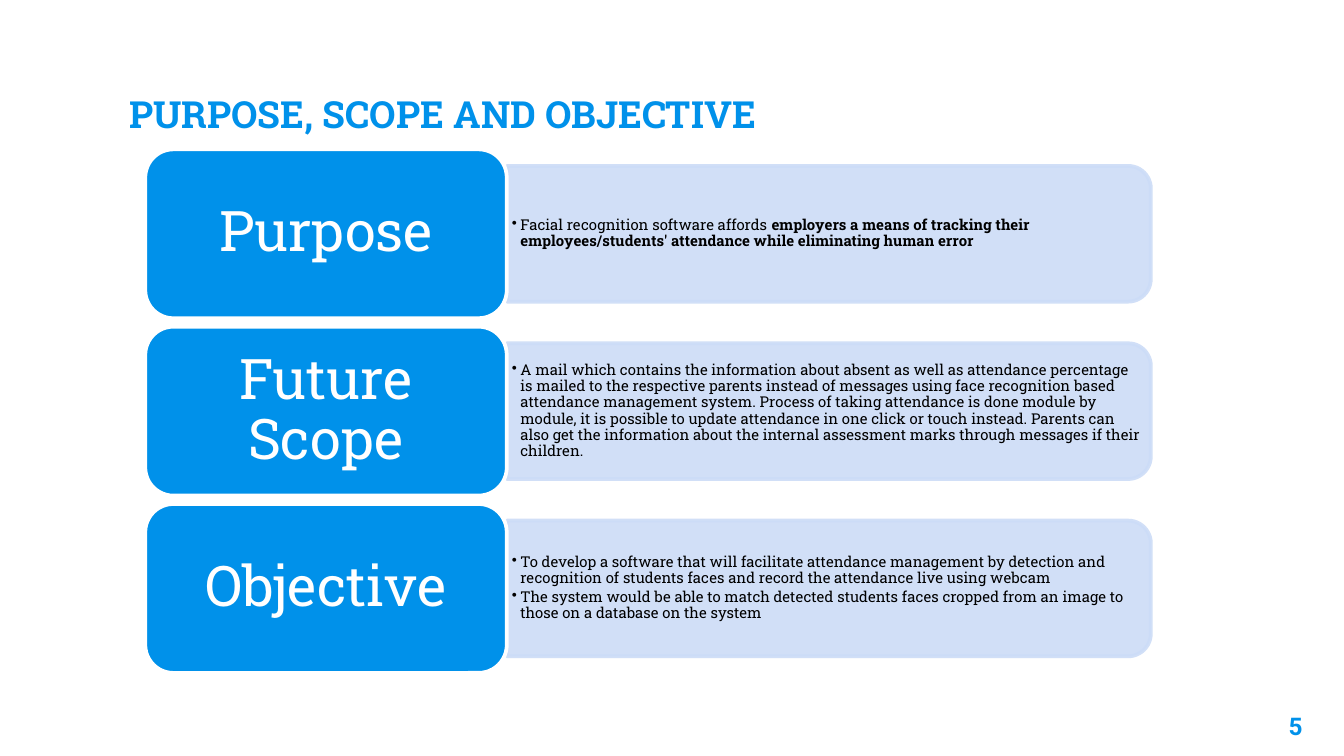
"""Build a slide with three labelled rows on purpose, scope and objective."""
from dataclasses import dataclass

from lxml import etree
from pptx import Presentation
from pptx.dml import color as c
from pptx.enum import shapes, text
from pptx.oxml import ns
from pptx.util import Pt


@dataclass(frozen=True)
class Theme:
    """Hold the colours, fonts and type sizes."""
    blue: str = "0091EA"
    pale: str = "CCDCF7"
    white: str = "FFFFFF"
    black: str = "000000"
    slab: str = "Roboto Slab"
    sans: str = "Roboto"
    head: float = 20
    label: float = 30
    body: float = 8
    page: float = 13


T = Theme()
LEFT, TOP, PITCH = 77.8, 80, 95
LABEL_W, LABEL_H = 193.7, 90.5
BAND_W, BAND_H = 345, 72.7
ROWS = [
    ("Purpose", [[
        ("Facial recognition software affords ", False),
        ("employers a means of tracking their employees/students' attendance "
         "while eliminating human error", True)]]),
    ("Future Scope", [[
        ("A mail which contains the information about absent as well as "
         "attendance percentage is mailed to the respective parents instead of "
         "messages using face recognition based attendance management system. "
         "Process of taking attendance is done module by module, it is possible "
         "to update attendance in one click or touch instead. Parents can also "
         "get the information about the internal assessment marks through "
         "messages if their children.", False)]]),
    ("Objective", [
        [("To develop a software that will facilitate attendance management by "
          "detection and recognition of students faces and record the attendance "
          "live using webcam", False)],
        [("The system would be able to match detected students faces cropped "
          "from an image to those on a database on the system", False)]]),
]


def rgb(tone):
    """Turn a hex string into a colour."""
    return c.RGBColor.from_string(tone)


def add_run(para, words, size, tone, bold=False, font=T.slab):
    """Add one formatted run to a paragraph."""
    run = para.add_run()
    run.text = words
    run.font.size, run.font.name, run.font.bold = Pt(size), font, bold
    run.font.color.rgb = rgb(tone)


def set_frame(frame, side, edge, anchor):
    """Set the wrap, insets and anchor of a text frame."""
    frame.word_wrap = True
    frame.auto_size = text.MSO_AUTO_SIZE.NONE
    frame.margin_left = frame.margin_right = Pt(side)
    frame.margin_top = frame.margin_bottom = Pt(edge)
    frame.vertical_anchor = anchor


def add_box(slide, kind, area, fill, line):
    """Add a filled and outlined preset shape."""
    shape = slide.shapes.add_shape(kind, *map(Pt, area))
    shape.shadow.inherit = False
    shape.fill.solid()
    shape.fill.fore_color.rgb = rgb(fill)
    shape.line.color.rgb = rgb(line)
    shape.line.width = Pt(2)
    return shape


def add_band(slide, left, mid):
    """Add a pale band whose right corners are round."""
    area = (left + (BAND_W - BAND_H) / 2, mid - BAND_W / 2, BAND_H, BAND_W)
    kind = shapes.MSO_SHAPE.ROUND_2_SAME_RECTANGLE
    band = add_box(slide, kind, area, T.pale, T.pale)
    band.rotation = 90
    for tone in band._element.spPr.iter(ns.qn("a:srgbClr")):
        etree.SubElement(tone, ns.qn("a:alpha"), val="90000")


def set_bullet(para):
    """Give a paragraph a black bullet and a hanging indent."""
    props = para._p.get_or_add_pPr()
    props.set("marL", str(Pt(4.5)))
    props.set("indent", str(Pt(-4.5)))
    tone = etree.SubElement(props, ns.qn("a:buClr"))
    etree.SubElement(tone, ns.qn("a:srgbClr"), val=T.black)
    etree.SubElement(props, ns.qn("a:buChar"), char="•")


def add_points(slide, left, mid, points):
    """Add the bulleted text of a row."""
    high = 65.5
    area = (left, mid - high / 2, 341.4, high)
    frame = slide.shapes.add_textbox(*map(Pt, area)).text_frame
    set_frame(frame, 2.2, 1.4, text.MSO_ANCHOR.MIDDLE)
    for spot, runs in enumerate(points):
        para = frame.add_paragraph() if spot else frame.paragraphs[0]
        para.line_spacing = 0.9
        para.space_after = Pt(1.5)
        set_bullet(para)
        for words, bold in runs:
            add_run(para, words, T.body, T.black, bold)


def add_label(slide, top, words):
    """Add the blue label of a row."""
    area = (LEFT, top, LABEL_W, LABEL_H)
    kind = shapes.MSO_SHAPE.ROUNDED_RECTANGLE
    frame = add_box(slide, kind, area, T.blue, T.white).text_frame
    set_frame(frame, 8.6, 4.3, text.MSO_ANCHOR.MIDDLE)
    para = frame.paragraphs[0]
    para.alignment = text.PP_ALIGN.CENTER
    para.line_spacing = 0.9
    add_run(para, words, T.label, T.white)


def add_row(slide, top, words, points):
    """Add a band, its bullets and its label."""
    left, mid = LEFT + LABEL_W, top + LABEL_H / 2
    add_band(slide, left, mid)
    add_points(slide, left + 0.6, mid, points)
    add_label(slide, top, words)


def set_title(slide, words):
    """Place and format the slide title."""
    title = slide.shapes.title
    title.left, title.top, title.width, title.height = map(
        Pt, (62, 24.5, 596, 55.5))
    set_frame(title.text_frame, 7.2, 7.2, text.MSO_ANCHOR.BOTTOM)
    para = title.text_frame.paragraphs[0]
    para.alignment = text.PP_ALIGN.LEFT
    add_run(para, words, T.head, T.blue, True)


def add_page(slide, words):
    """Add the page number in the lower right corner."""
    frame = slide.shapes.add_textbox(*map(Pt, (661.7, 374, 43.2, 31))).text_frame
    set_frame(frame, 7.2, 7.2, text.MSO_ANCHOR.TOP)
    para = frame.paragraphs[0]
    para.alignment = text.PP_ALIGN.RIGHT
    add_run(para, words, T.page, T.blue, True, T.sans)


def main():
    """Build and save the slide."""
    deck = Presentation()
    deck.slide_width, deck.slide_height = Pt(720), Pt(405)
    slide = deck.slides.add_slide(deck.slide_layouts[5])
    set_title(slide, "PURPOSE, SCOPE AND OBJECTIVE")
    add_page(slide, "5")
    for spot, (words, points) in enumerate(ROWS):
        add_row(slide, TOP + spot * PITCH, words, points)
    deck.save("out.pptx")


if __name__ == "__main__":
    main()
